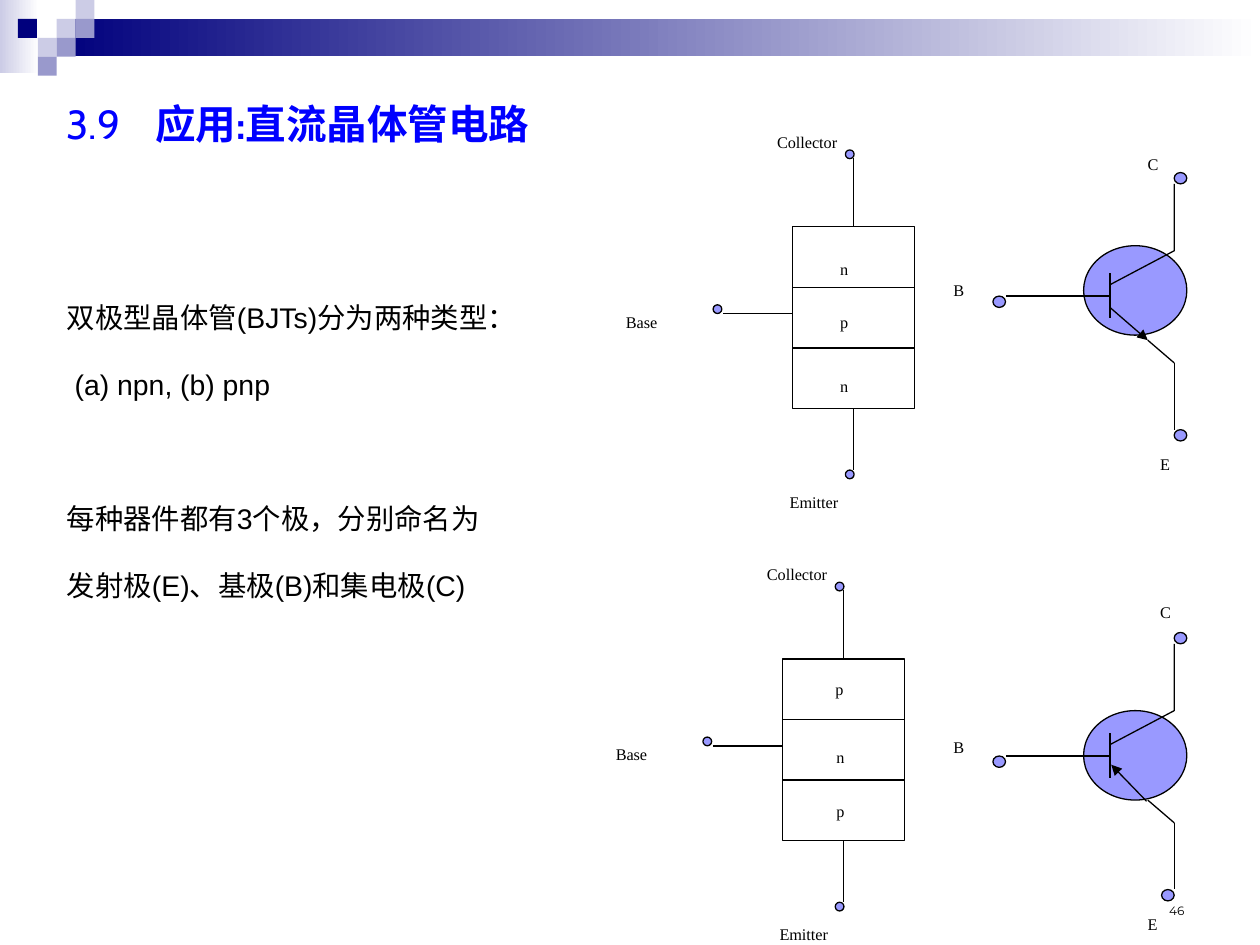
from dataclasses import dataclass
from lxml import etree
from pptx import Presentation
from pptx.dml.color import RGBColor
from pptx.enum.shapes import MSO_CONNECTOR, MSO_SHAPE
from pptx.enum.text import MSO_ANCHOR, MSO_AUTO_SIZE, PP_ALIGN
from pptx.oxml.ns import qn
from pptx.util import Pt

RECT, OVAL = MSO_SHAPE.RECTANGLE, MSO_SHAPE.OVAL
LINE = MSO_CONNECTOR.STRAIGHT
TOP, BOTTOM = MSO_ANCHOR.TOP, MSO_ANCHOR.BOTTOM
LEFT, RIGHT = PP_ALIGN.LEFT, PP_ALIGN.RIGHT
FIXED = MSO_AUTO_SIZE.NONE


@dataclass
class Theme:
    ink: RGBColor = RGBColor(0, 0, 0)
    white: RGBColor = RGBColor(255, 255, 255)
    navy: RGBColor = RGBColor(0, 0, 0x7D)
    pale: RGBColor = RGBColor(0xCC, 0xCC, 0xE6)
    mid: RGBColor = RGBColor(0x99, 0x99, 0xCC)
    node: RGBColor = RGBColor(0x99, 0x99, 0xFF)
    blue: RGBColor = RGBColor(0, 0, 255)
    head: int = 40
    body: int = 28
    label: int = 16
    page: int = 12


theme = Theme()
deck = Presentation()
deck.slide_width, deck.slide_height = Pt(720), Pt(540)
slide = deck.slides.add_slide(deck.slide_layouts[1])
shapes = slide.shapes


def draw(kind, x, y, w, h, fill=None, edge=True):
    item = shapes.add_shape(kind, Pt(x), Pt(y), Pt(w), Pt(h))
    item.shadow.inherit = False
    if fill is None:
        item.fill.background()
    else:
        item.fill.solid()
        item.fill.fore_color.rgb = fill
    if edge:
        item.line.color.rgb = theme.ink
        item.line.width = Pt(0.75)
    else:
        item.line.fill.background()
    return item


def wire(x1, y1, x2, y2, arrow=False):
    item = shapes.add_connector(LINE, Pt(x1), Pt(y1), Pt(x2), Pt(y2))
    item.line.color.rgb = theme.ink
    item.line.width = Pt(0.75)
    props = item._element.spPr
    if arrow:
        etree.SubElement(props.find(qn("a:ln")), qn("a:tailEnd"), type="triangle")
    etree.SubElement(props, qn("a:effectLst"))
    return item


for x, y, w, h, shade in [(0, 0, 22.3, 41.8, theme.pale), (32.4, 10.8, 687.6, 21.4, theme.navy)]:
    band = draw(RECT, x, y, w, h, shade, False)
    band.fill.gradient()
    band.fill.gradient_angle = 0
    for stop, tint in zip(band.fill.gradient_stops, (shade, theme.white)):
        stop.color.rgb = tint

unit = 10.8
for col, row, shade in [
    (3, 1, theme.pale), (4, 0, theme.pale), (4, 1, theme.mid), (2, 2, theme.pale),
    (0.95, 1, theme.navy), (3, 2, theme.mid), (2, 3, theme.mid),
]:
    draw(RECT, col * unit, row * unit, unit, unit, shade, False)

title, body = slide.placeholders
for box, (x, y, w, h) in [
    (title, (31, 26, 538.6, 55.4)), (body, (31, 149, 301.7, 117.4)),
]:
    box.left, box.top, box.width, box.height = Pt(x), Pt(y), Pt(w), Pt(h)
    frame = box.text_frame
    frame.auto_size = FIXED
    frame.vertical_anchor = TOP

para = title.text_frame.paragraphs[0]
para.alignment = LEFT
tabs = etree.SubElement(para._p.get_or_add_pPr(), qn("a:tabLst"))
etree.SubElement(tabs, qn("a:tab"), pos=str(Pt(50.5)), algn="l")
para.font.name = "Cabin"
para.font.size = Pt(theme.head)
para.font.color.rgb = theme.blue
for text, bold in [("3.9\t", False), ("应用:直流晶体管电路", True)]:
    run = para.add_run()
    run.text = text
    run.font.bold = bold
    run._r.get_or_add_rPr().set("baseline", "-25000")

frame = body.text_frame
frame.word_wrap = False
frame.text = "\n".join([
    "双极型晶体管(BJTs)分为两种类型：", " (a) npn, (b) pnp",
    "每种器件都有3个极，分别命名为", "发射极(E)、基极(B)和集电极(C)",
])
for i, para in enumerate(frame.paragraphs):
    props = para._p.get_or_add_pPr()
    props.set("marL", "0")
    props.set("indent", "0")
    para.line_spacing = Pt(38.3)
    para.space_before = Pt(38.3 if i == 2 else 0)
    etree.SubElement(props, qn("a:buNone"))
    para.font.name = "Arial"
    para.font.size = Pt(theme.body)
    para.font.color.rgb = theme.ink
    para.runs[0]._r.get_or_add_rPr().set("baseline", "-25000")

labels = []
for dx, dy, layers in [
    (0, 0, [("n", 473, 133.9), ("p", 473, 164.2), ("n", 473, 200.9)]),
    (-5.8, 247, [("p", 470.2, 373.7), ("n", 470.9, 412.6), ("p", 470.9, 443.5)]),
]:
    x, y, w, h = 452.9 + dx, 129.6 + dy, 69.8, 103.8
    block = draw(RECT, x, y, w, h)
    for part in (1, 2):
        wire(x, y + part * h / 3, x + w, y + part * h / 3)
    mid = x + w / 2
    wire(mid, y - 39.6, mid, y).end_connect(block, 0)
    wire(mid, y + h, mid, y + h + 35.2).begin_connect(block, 2)
    wire(x, y + 49.7, x - 39.6, y + 49.7)
    for left, top in [(483.1, 85.7), (407.5, 174.2), (483.1, 268.6)]:
        draw(OVAL, left + dx, top + dy, 5, 5, theme.node)
    labels += [(text, left, top, 34) for text, left, top in layers]
    labels += [
        ("Collector", 437 + dx, 61.2 + dy, 111), ("Base", 350.6 + dx, 164.2 + dy, 94),
        ("Emitter", 444.2 + dx, 267.1 + dy, 108),
    ]

for dy, disc, foot, arrow in [
    (0, 140.4, 671, (634.3, 175.7, 655.9, 194.4)),
    (262.8, 406.1, 663.8, (655.2, 457.9, 635, 437)),
]:
    draw(OVAL, 619.2, disc, 59, 51.1, theme.node)
    wire(634.3, 156.2 + dy, 634.3, 182 + dy)
    wire(634.3, 169.2 + dy, 574.6, 169.2 + dy)
    pen = shapes.build_freeform(Pt(634.3), Pt(162.7 + dy))
    pen.add_line_segments([(Pt(671), Pt(143.3 + dy)), (Pt(671), Pt(105.1 + dy))], close=False)
    bend = pen.convert_to_shape()
    bend.shadow.inherit = False
    bend.fill.background()
    bend.line.color.rgb = theme.ink
    bend.line.width = Pt(0.75)
    wire(*arrow, arrow=True)
    wire(655.9, 194.4 + dy, 671, 207.4 + dy)
    wire(671, 207.4 + dy, 671, 245.5 + dy)
    for left, top in [(567.4, 169.2), (671, 98.6), (foot, 245.5)]:
        draw(OVAL, left, top + dy, 7.2, 6.5, theme.node)

labels += [
    ("E", 655.9, 245.5, 37), ("B", 537.8, 146.2, 30), ("C", 648.7, 74.2, 37),
    ("E", 648.7, 508.3, 37), ("B", 537.8, 406.8, 30), ("C", 655.9, 329.8, 37),
]
for text, x, y, w in labels:
    frame = shapes.add_textbox(Pt(x), Pt(y), Pt(w), Pt(19.4)).text_frame
    frame.word_wrap = True
    para = frame.paragraphs[0]
    para.text = text
    para.font.name = "Times New Roman"
    para.font.size = Pt(theme.label)
    para.font.color.rgb = theme.ink
    para.runs[0]._r.get_or_add_rPr().set("baseline", "-25000")

frame = shapes.add_textbox(Pt(516.2), Pt(491.8), Pt(167.8), Pt(36)).text_frame
frame.word_wrap = True
frame.vertical_anchor = BOTTOM
para = frame.paragraphs[0]
para.text = "46"
para.alignment = RIGHT
para.font.name = "Montserrat"
para.font.size = Pt(theme.page)
para.font.color.rgb = theme.ink
para.runs[0]._r.get_or_add_rPr().set("baseline", "-25000")

deck.save("out.pptx")
